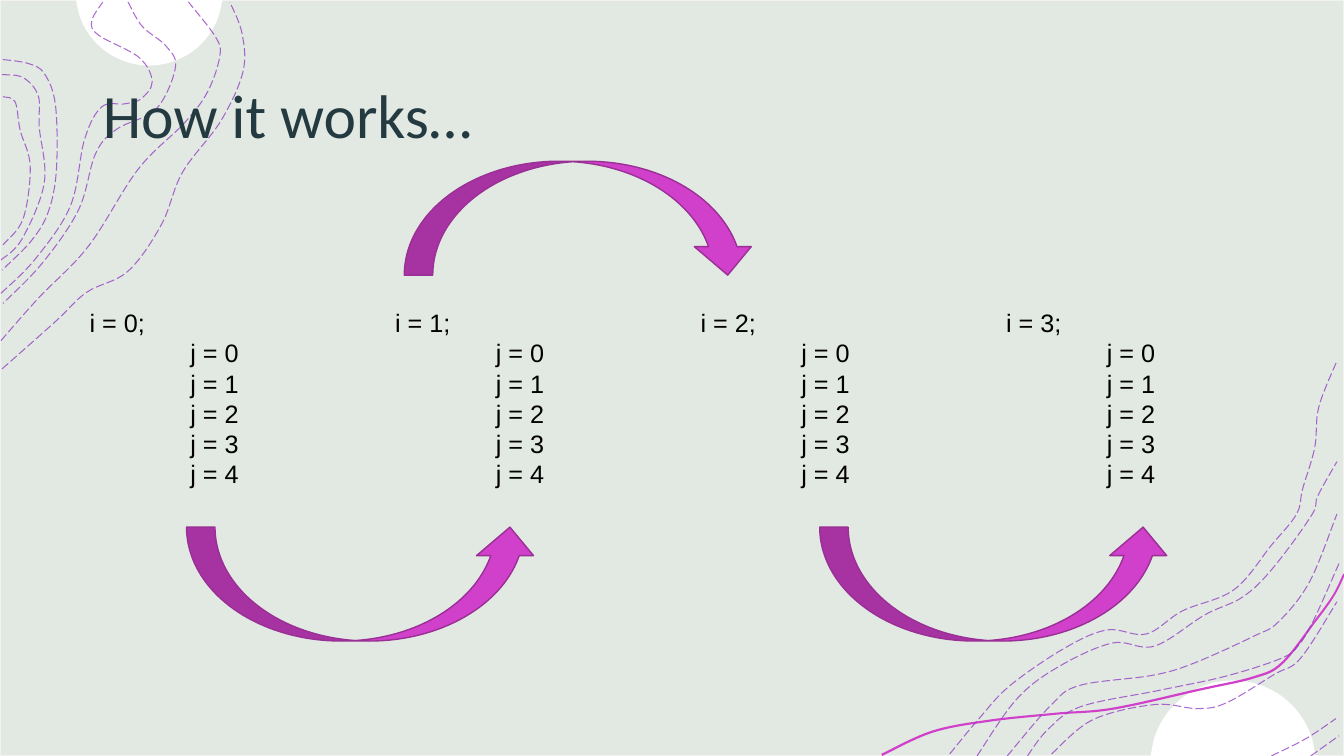
from dataclasses import dataclass
from math import acos, cos, sin
from typing import Optional

from lxml.etree import SubElement
from pptx import Presentation
from pptx.dml.color import RGBColor
from pptx.enum.dml import MSO_LINE
from pptx.enum.shapes import MSO_SHAPE
from pptx.enum.text import MSO_ANCHOR, MSO_AUTO_SIZE, PP_ALIGN
from pptx.oxml.ns import qn
from pptx.util import Inches, Pt

Points = list[tuple[float, float]]

WIDTH, HEIGHT = 13.33, 7.5
SAGE, EDGE, WHITE = "E2E8E2", "F2F2F2", "FFFFFF"
MAGENTA, PLUM, VIOLET = "D040CA", "9A2F95", "8F3AC2"
TITLE_COLOR, BODY_COLOR = "243A41", "000000"


@dataclass
class Dome:
    """Part of a circle cut off by a slide edge; side is 1 below it, -1 above."""
    center_x: float
    center_y: float
    radius: float
    edge_y: float
    side: int


@dataclass
class LoopColumn:
    outer: int
    left: float


@dataclass
class CurvedArrow:
    left: float
    top: float
    flipped: bool


DOMES = [Dome(1.48, -0.08, 0.73, 0, 1), Dome(12.23, 7.57, 0.82, HEIGHT, -1)]
COLUMNS = [LoopColumn(index, 0.79 + 3.03 * index) for index in range(4)]
ARROWS = [CurvedArrow(1.85, 5.23, False), CurvedArrow(8.13, 5.23, False),
          CurvedArrow(4.01, 1.6, True)]

RIBBON_TOP: Points = [
    (8.74, 7.48), (9.24, 7.25), (9.81, 7.14), (10.48, 7.07), (11.04, 7.02),
    (11.9, 6.83), (12.43, 6.71), (12.71, 6.57), (13.04, 6.15), (13.22, 5.9), (13.32, 5.7)]
RIBBON = RIBBON_TOP + [(x + 0.01, y + 0.02) for x, y in reversed(RIBBON_TOP)]

TOP_LEFT_CONTOURS: list[Points] = [
    [(0.02, 3.66), (0.55, 3.19), (0.86, 2.9), (1.27, 2.69), (1.6, 2.23), (1.81, 1.71),
     (2.19, 1.2), (2.41, 0.71), (2.4, 0.33), (2.28, 0.02)],
    [(0.01, 3.38), (0.38, 2.96), (0.88, 2.44), (1.37, 1.68), (1.83, 1.22),
     (2.06, 0.91), (2.18, 0.56), (2.14, 0.37), (1.87, 0.02)],
    [(1.27, 0.02), (1.41, 0.26), (1.65, 0.46), (1.74, 0.67), (1.55, 1.08), (1.16, 1.28),
     (0.95, 1.52), (0.78, 2.08), (0.42, 2.61), (0.03, 3.01)],
    [(0.01, 2.91), (0.35, 2.57), (0.7, 2.04), (0.84, 1.38), (1.01, 1.06), (1.24, 1.03),
     (1.4, 0.98), (1.51, 0.81), (1.38, 0.57), (0.98, 0.35), (0.91, 0.21), (1.02, 0.02)],
    [(0.03, 0.59), (0.28, 0.63), (0.44, 0.73), (0.55, 1.04), (0.56, 1.68), (0.48, 2.1),
     (0.31, 2.39), (0.02, 2.68)],
    [(0.02, 0.74), (0.23, 0.77), (0.38, 0.95), (0.39, 1.26), (0.44, 1.81), (0.22, 2.37),
     (0.01, 2.58)],
    [(0.03, 0.96), (0.15, 1.01), (0.2, 1.29), (0.3, 1.65), (0.23, 2.17), (0.03, 2.43)],
]
BOTTOM_RIGHT_CONTOURS: list[Points] = [
    [(9.42, 7.48), (9.71, 7.13), (10.02, 6.8), (10.56, 6.43), (10.98, 6.25),
     (11.37, 6.29), (11.73, 6.06), (12.24, 5.85), (12.61, 5.41), (12.86, 5.1),
     (12.92, 4.85), (13.04, 4.44), (13.08, 4.04), (13.26, 3.58)],
    [(9.69, 7.5), (10.08, 6.94), (10.49, 6.62), (11.03, 6.38), (11.45, 6.41),
     (11.95, 6.1), (12.33, 5.92), (12.63, 5.63), (13.01, 5.11), (13.07, 4.92),
     (13.26, 4.58)],
    [(13, 7.5), (13.28, 7.3)],
    [(12.61, 7.5), (12.95, 7.33), (13.25, 7.13)],
    [(10.43, 7.48), (10.84, 7.14), (11.45, 6.99), (11.88, 7.03), (12.17, 6.97),
     (12.64, 6.69), (12.9, 6.53), (13.26, 5.97)],
    [(10.19, 7.5), (10.39, 7.24), (10.72, 7.01), (11.49, 6.85), (12.15, 6.71),
     (12.71, 6.53), (12.88, 6.4), (13.03, 6.15), (13.28, 5.59)],
    [(9.99, 7.5), (10.42, 7), (10.71, 6.8), (11.43, 6.7), (11.84, 6.58),
     (12.44, 6.31), (12.68, 6.17), (12.99, 5.77), (13.26, 5.1)],
]


def rgb(color: str) -> RGBColor:
    return RGBColor.from_string(color)


def paint(shape, fill: Optional[str], line: Optional[str] = None, width: float = 1) -> None:
    shape.shadow.inherit = False
    if fill:
        shape.fill.solid()
        shape.fill.fore_color.rgb = rgb(fill)
    else:
        shape.fill.background()
    if line:
        shape.line.color.rgb = rgb(line)
        shape.line.width = Pt(width)
    else:
        shape.line.fill.background()


def bend(shape) -> None:
    """Turn the straight segments of a freeform into smooth Bézier curves."""
    geometry = shape.element.spPr
    knots = [(int(point.get("x")), int(point.get("y"))) for point in geometry.iter(qn("a:pt"))]
    padded = [knots[0], *knots, knots[-1]]
    segments = list(geometry.iter(qn("a:lnTo")))
    for segment, a, b, c, d in zip(segments, padded, padded[1:], padded[2:], padded[3:]):
        leave = [q + (r - p) / 6 for p, q, r in zip(a, b, c)]
        arrive = [q - (r - p) / 6 for p, q, r in zip(b, c, d)]
        curve = segment.makeelement(qn("a:cubicBezTo"))
        for x, y in (leave, arrive, c):
            SubElement(curve, qn("a:pt"), x=str(round(x)), y=str(round(y)))
        segment.getparent().replace(segment, curve)


def add_curve(shapes, points: Points, close: bool):
    first, *rest = [(Inches(x), Inches(y)) for x, y in points]
    builder = shapes.build_freeform(*first)
    builder.add_line_segments(rest, close=False)
    shape = builder.convert_to_shape()
    bend(shape)
    if close:
        for outline in shape.element.spPr.iter(qn("a:path")):
            SubElement(outline, qn("a:close"))
    return shape


def add_dome(shapes, dome: Dome) -> None:
    half = acos(abs(dome.edge_y - dome.center_y) / dome.radius)
    angles = [half * step / 6 for step in range(-6, 7)]
    points = [(dome.center_x + dome.radius * sin(angle),
               dome.center_y + dome.side * dome.radius * cos(angle)) for angle in angles]
    paint(add_curve(shapes, points, True), WHITE)


def add_contours(shapes, contours: list[Points]) -> None:
    group = shapes.add_group_shape()
    for knots in contours:
        contour = add_curve(group.shapes, knots, False)
        paint(contour, None, VIOLET, 0.75)
        contour.line.dash_style = MSO_LINE.LONG_DASH
        for color in contour.element.spPr.iter(qn("a:srgbClr")):
            SubElement(color, qn("a:alpha"), val="75000")


def add_column(shapes, column: LoopColumn) -> None:
    box = shapes.add_textbox(Inches(column.left), Inches(3), Inches(1.7), Inches(1.92))
    frame = box.text_frame
    frame.word_wrap = True
    frame.text = "\n".join([f"i = {column.outer};", *(f"j = {inner}" for inner in range(5))])
    for index, para in enumerate(frame.paragraphs):
        if index:
            para._p.get_or_add_pPr().set("marL", str(Inches(1)))
        for span in para.runs:
            span.font.name, span.font.size = "Arial", Pt(18)
            span.font.color.rgb = rgb(BODY_COLOR)


def add_arrow(shapes, arrow: CurvedArrow) -> None:
    shape = shapes.add_shape(MSO_SHAPE.CURVED_UP_ARROW, Inches(arrow.left),
                             Inches(arrow.top), Inches(3.49), Inches(1.13))
    paint(shape, MAGENTA, PLUM)
    if arrow.flipped:
        shape.element.spPr.find(qn("a:xfrm")).set("flipV", "1")


def format_title(title) -> None:
    title.left, title.top = Inches(0.92), Inches(0.4)
    title.width, title.height = Inches(11.5), Inches(1.45)
    frame = title.text_frame
    frame.text = "How it works…"
    frame.auto_size = MSO_AUTO_SIZE.NONE
    frame.vertical_anchor = MSO_ANCHOR.MIDDLE
    para = frame.paragraphs[0]
    para.alignment = PP_ALIGN.LEFT
    font = para.runs[0].font
    font.name, font.size = "Calibri", Pt(44)
    font.color.rgb = rgb(TITLE_COLOR)


def main() -> None:
    deck = Presentation()
    deck.slide_width, deck.slide_height = Inches(WIDTH), Inches(HEIGHT)
    shapes = deck.slides.add_slide(deck.slide_layouts[5]).shapes

    # Backdrop
    backdrop = shapes.add_shape(MSO_SHAPE.RECTANGLE, 0, 0, Inches(WIDTH), Inches(HEIGHT))
    paint(backdrop, SAGE, EDGE)
    for dome in DOMES:
        add_dome(shapes, dome)
    paint(add_curve(shapes, RIBBON, True), MAGENTA)
    for contours in (TOP_LEFT_CONTOURS, BOTTOM_RIGHT_CONTOURS):
        add_contours(shapes, contours)

    # Title, raised above the backdrop
    format_title(shapes.title)
    shapes.element.append(shapes.title.element)

    # Loop values and the arrows between them
    for column in COLUMNS:
        add_column(shapes, column)
    for arrow in ARROWS:
        add_arrow(shapes, arrow)

    deck.save("out.pptx")


if __name__ == "__main__":
    main()
